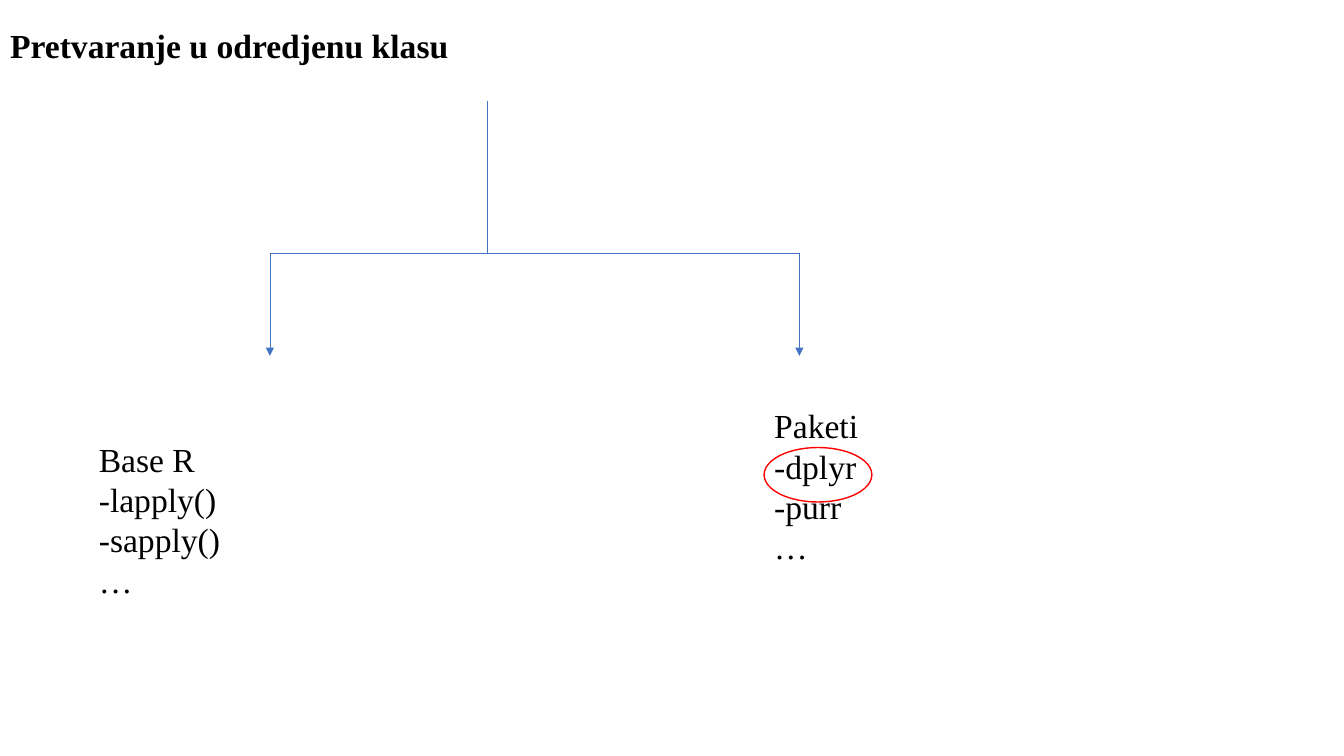
import dataclasses
import typing

import lxml.etree
import pptx
import pptx.dml.color
import pptx.enum.shapes
import pptx.enum.text
import pptx.oxml.ns
import pptx.util

Pt = pptx.util.Pt
RGB = pptx.dml.color.RGBColor
qn = pptx.oxml.ns.qn


@dataclasses.dataclass(frozen=True)
class Theme:
    font: str = "Times New Roman"
    size: float = 24
    text: RGB = RGB(0, 0, 0)
    branch: RGB = RGB(0x44, 0x72, 0xC4)
    branch_width: float = 0.5
    ring: RGB = RGB(0xFF, 0, 0)
    ring_width: float = 1


class Box(typing.NamedTuple):
    left: float
    top: float
    width: float
    height: float


class TextBlock(typing.NamedTuple):
    box: Box
    lines: tuple[str, ...]
    bold: bool = False


class Branch(typing.NamedTuple):
    x1: float
    y1: float
    x2: float
    y2: float
    arrow: bool = False


THEME = Theme()
STEM_X, STEM_TOP = 347.8, 72
LEFT_X, RIGHT_X = 192.8, 571
FORK_Y, ARROW_Y = 180.7, 254.2

# Order follows the layout's placeholders: title, left list, right list.
TEXTS = (
    TextBlock(Box(0, 14.4, 423.4, 79.9), ("Pretvaranje u odredjenu klasu",), bold=True),
    TextBlock(Box(63.4, 309.6, 184.3, 123.8), ("Base R", "-lapply()", "-sapply()", "…")),
    TextBlock(Box(545.8, 285.8, 198, 123.8), ("Paketi", "-dplyr", "-purr", "…")),
)
BRANCHES = (
    Branch(STEM_X, STEM_TOP, STEM_X, FORK_Y),
    Branch(LEFT_X, FORK_Y, RIGHT_X, FORK_Y),
    Branch(LEFT_X, FORK_Y, LEFT_X, ARROW_Y, arrow=True),
    Branch(RIGHT_X, FORK_Y, RIGHT_X, ARROW_Y, arrow=True),
)
DPLYR_RING = Box(545.8, 319.7, 77, 38.9)


def fill_placeholder(sp, block: TextBlock) -> None:
    """Move a placeholder and set its lines as plain, unbulleted text."""
    sp.left, sp.top, sp.width, sp.height = map(Pt, block.box)
    tf = sp.text_frame
    tf.word_wrap = True
    tf.auto_size = pptx.enum.text.MSO_AUTO_SIZE.NONE
    tf.vertical_anchor = pptx.enum.text.MSO_ANCHOR.TOP
    for i, line in enumerate(block.lines):
        p = tf.paragraphs[0] if i == 0 else tf.add_paragraph()
        p.alignment = pptx.enum.text.PP_ALIGN.LEFT
        p.space_before = p.space_after = Pt(0)
        p.line_spacing = 1.0
        pPr = p._p.get_or_add_pPr()
        pPr.set("marL", "0")
        pPr.set("indent", "0")
        lxml.etree.SubElement(pPr, qn("a:buNone"))
        r = p.add_run()
        r.text = line
        r.font.name = THEME.font
        r.font.size = Pt(THEME.size)
        r.font.bold = block.bold
        r.font.color.rgb = THEME.text


def draw_branch(s, branch: Branch) -> None:
    ends = map(Pt, (branch.x1, branch.y1, branch.x2, branch.y2))
    line = s.shapes.add_connector(pptx.enum.shapes.MSO_CONNECTOR.STRAIGHT, *ends)
    line.line.color.rgb = THEME.branch
    line.line.width = Pt(THEME.branch_width)
    if branch.arrow:
        ln = line.line._get_or_add_ln()
        lxml.etree.SubElement(ln, qn("a:tailEnd"), type="triangle")
    lxml.etree.SubElement(line._element.spPr, qn("a:effectLst"))


def draw_ring(s, box: Box) -> None:
    ring = s.shapes.add_shape(pptx.enum.shapes.MSO_SHAPE.OVAL, *map(Pt, box))
    ring.shadow.inherit = False
    ring.fill.background()
    ring.line.color.rgb = THEME.ring
    ring.line.width = Pt(THEME.ring_width)


def main() -> None:
    prs = pptx.Presentation()
    prs.slide_width, prs.slide_height = Pt(960), Pt(540)
    two_content = prs.slide_layouts[3]
    s = prs.slides.add_slide(two_content)
    for sp, block in zip(s.placeholders, TEXTS):
        fill_placeholder(sp, block)
    for branch in BRANCHES:
        draw_branch(s, branch)
    draw_ring(s, DPLYR_RING)
    prs.save("out.pptx")


if __name__ == "__main__":
    main()
